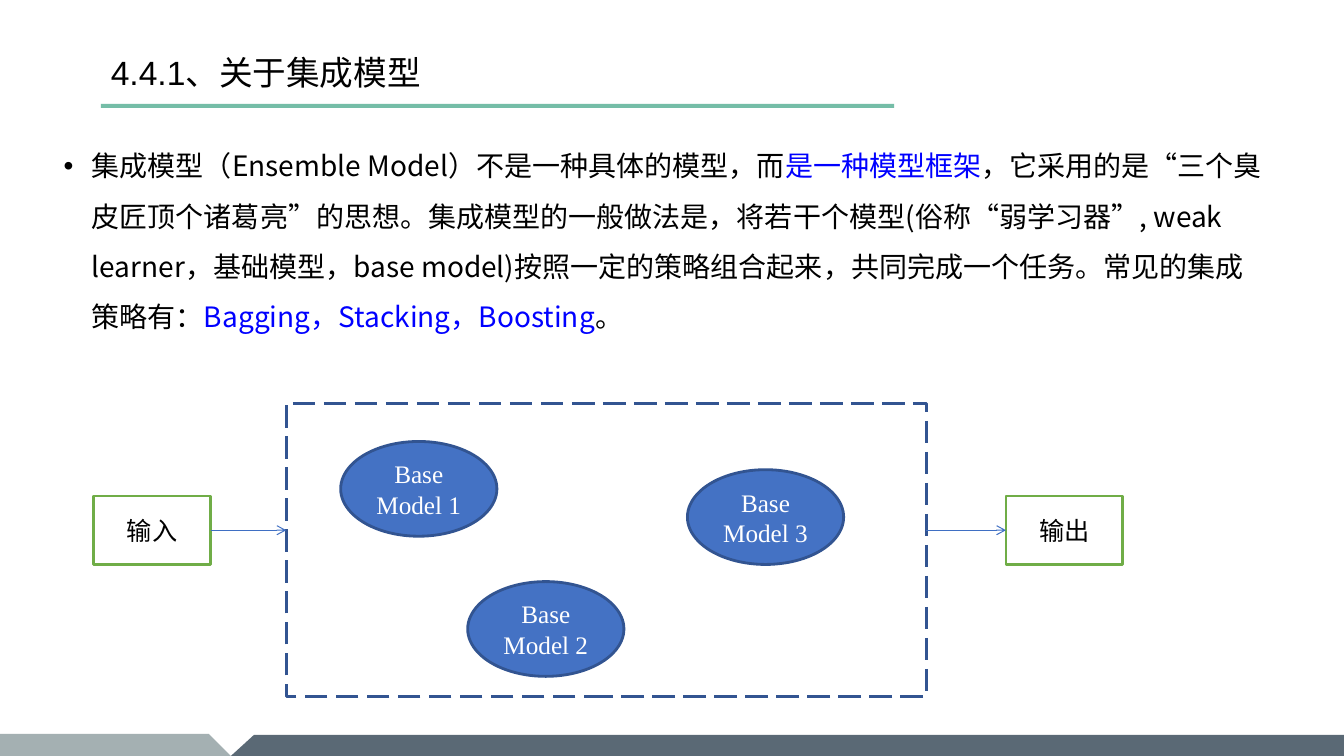
import pptx
import pptx.util
import pptx.dml.color
import pptx.enum.dml
import pptx.enum.lang
import pptx.enum.shapes
import pptx.enum.text
import pptx.oxml
import pptx.oxml.ns

RGBColor = pptx.dml.color.RGBColor
BLACK = RGBColor(0x00, 0x00, 0x00)
WHITE = RGBColor(0xFF, 0xFF, 0xFF)
BLUE_TEXT = RGBColor(0x00, 0x00, 0xFF)
GREEN = RGBColor(0x70, 0xAD, 0x47)
TEAL = RGBColor(0x75, 0xBD, 0xA7)
BLUE = RGBColor(0x44, 0x72, 0xC4)
NAVY = RGBColor(0x32, 0x54, 0x91)
ARROW_BLUE = RGBColor(0x3F, 0x6F, 0xC3)
FOOTER_DARK = RGBColor(0x24, 0x38, 0x48)
FOOTER_LIGHT = RGBColor(0x7A, 0x8C, 0x8E)

WIDTH, HEIGHT = pptx.util.Inches(13.33), pptx.util.Inches(7.5)
COLUMNS, ROWS = 40, 30
CJK_FONT = "Noto Sans CJK SC"
SHAPES = pptx.enum.shapes.MSO_SHAPE
MIDDLE = pptx.enum.text.MSO_ANCHOR.MIDDLE
CENTER = pptx.enum.text.PP_ALIGN.CENTER

# Grid positions in columns and rows
FRAME = (8.52, 16, 19.05, 11.64)
BOX_TOP, BOX_W, BOX_H = 19.68, 3.48, 2.72
INPUT_X, OUTPUT_X = 2.79, 29.94
OVAL_W, OVAL_H = 4.65, 3.76
MODELS = {"Base Model 1": (10.14, 17.52),
          "Base Model 3": (20.46, 18.64),
          "Base Model 2": (13.92, 23.08)}

TITLE_FONT = {"size": pptx.util.Pt(24), "name": "Arial"}
BODY_FONT = {"size": pptx.util.Pt(20), "name": CJK_FONT}
LABEL_FONT = {"size": pptx.util.Pt(18), "name": "Times New Roman"}

BODY_RUNS = [
    ("集成模型（Ensemble Model）不是一种具体的模型，而", BLACK),
    ("是一种模型框架", BLUE_TEXT),
    ("，它采用的是“三个臭皮匠顶个诸葛亮”的思想。集成模型的一般做法是，将若干个模型"
     "(俗称“弱学习器”, weak learner，基础模型，base model)按照一定的策略组合起来，"
     "共同完成一个任务。常见的集成策略有：", BLACK),
    ("Bagging，Stacking，Boosting", BLUE_TEXT),
    ("。", BLACK),
]


def grid(*lengths):
    """Turn alternating columns and rows into slide lengths."""
    units = (WIDTH / COLUMNS, HEIGHT / ROWS)
    return [round(n * units[i % 2]) for i, n in enumerate(lengths)]


def xml_child(parent, tag, **attributes):
    child = pptx.oxml.parse_xml(f"<a:{tag} {pptx.oxml.ns.nsdecls('a')}/>")
    for name, value in attributes.items():
        child.set(name, value)
    parent.append(child)
    return child


def add_run(p, text, font, color):
    r = p.add_run()
    r.text = text
    for name, value in font.items():
        setattr(r.font, name, value)
    r.font.color.rgb = color
    r.font.language_id = pptx.enum.lang.MSO_LANGUAGE_ID.SIMPLIFIED_CHINESE
    xml_child(r.font._element, "ea", typeface=CJK_FONT)


def add_text(s, box, runs, font, hang, bullet=None, anchor=None):
    """Add a text box with one hanging paragraph."""
    tf = s.shapes.add_textbox(*grid(*box)).text_frame
    tf.word_wrap = True
    tf.vertical_anchor = anchor
    for side in ("left", "top", "right", "bottom"):
        setattr(tf, f"margin_{side}", pptx.util.Inches(0.05))
    p = tf.paragraphs[0]
    p.line_spacing = 1.5
    pPr = p._p.get_or_add_pPr()
    indent = pptx.util.Inches(hang)
    pPr.set("marL", str(indent))
    pPr.set("indent", str(-indent))
    if bullet:
        xml_child(pPr, "buFont", typeface="Arial")
        xml_child(pPr, "buChar", char=bullet)
    for text, color in runs:
        add_run(p, text, font, color)


def add_block(s, kind, box, fill=None, line=None, label="", color=BLACK):
    sp = s.shapes.add_shape(kind, *grid(*box))
    sp.shadow.inherit = False
    if fill is None:
        sp.fill.background()
    else:
        sp.fill.solid()
        sp.fill.fore_color.rgb = fill
    if line is None:
        sp.line.fill.background()
    else:
        sp.line.color.rgb = line
        sp.line.width = pptx.util.Pt(2)
    if label:
        tf = sp.text_frame
        tf.word_wrap = True
        tf.vertical_anchor = MIDDLE
        p = tf.paragraphs[0]
        p.alignment = CENTER
        add_run(p, label, LABEL_FONT, color)
    return sp


def add_arrow(s, x1, x2, y):
    arrow = s.shapes.add_connector(pptx.enum.shapes.MSO_CONNECTOR.STRAIGHT,
                                   *grid(x1, y, x2, y))
    arrow.line.color.rgb = ARROW_BLUE
    arrow.line.width = pptx.util.Pt(0.75)
    xml_child(arrow.line._get_or_add_ln(), "tailEnd", type="arrow")
    xml_child(arrow._element.spPr, "effectLst")


def add_footer_band(s, points, color, opacity):
    start, *rest = [grid(*point) for point in points]
    builder = s.shapes.build_freeform(*start)
    builder.add_line_segments(rest)
    sp = builder.convert_to_shape()
    sp.shadow.inherit = False
    sp.line.fill.background()
    sp.fill.solid()
    sp.fill.fore_color.rgb = color
    srgb = sp._element.spPr.find(".//" + pptx.oxml.ns.qn("a:srgbClr"))
    xml_child(srgb, "alpha", val=str(opacity * 1000))


def main():
    prs = pptx.Presentation()
    prs.slide_width, prs.slide_height = WIDTH, HEIGHT
    s = prs.slides.add_slide(prs.slide_layouts[6])

    add_footer_band(s, [(6.87, 30), (7.56, 29.16), (40, 29.16), (40, 30)],
                    FOOTER_DARK, 75)
    add_footer_band(s, [(0, 29.12), (6.21, 29.12), (6.87, 30), (0, 30)],
                    FOOTER_LIGHT, 68)
    add_block(s, SHAPES.RECTANGLE, (3, 4.12, 23.61, 0.16), TEAL)
    add_text(s, (3.15, 0.76, 23.46, 3.44), [("4.4.1、关于集成模型", BLACK)],
             TITLE_FONT, 0.75, anchor=MIDDLE)
    add_text(s, (1.74, 5.04, 36.15, 22.48), BODY_RUNS, BODY_FONT, 0.28, "•")

    frame = add_block(s, SHAPES.RECTANGLE, FRAME, line=NAVY)
    frame.line.dash_style = pptx.enum.dml.MSO_LINE.LONG_DASH
    for label, corner in MODELS.items():
        add_block(s, SHAPES.OVAL, (*corner, OVAL_W, OVAL_H), BLUE, NAVY,
                  label, WHITE)
    for label, x in (("输入", INPUT_X), ("输出", OUTPUT_X)):
        add_block(s, SHAPES.RECTANGLE, (x, BOX_TOP, BOX_W, BOX_H), WHITE,
                  GREEN, label)

    arrow_y = BOX_TOP + BOX_H / 2
    add_arrow(s, INPUT_X + BOX_W, FRAME[0], arrow_y)
    add_arrow(s, FRAME[0] + FRAME[2], OUTPUT_X, arrow_y)
    prs.save("out.pptx")


if __name__ == "__main__":
    main()
